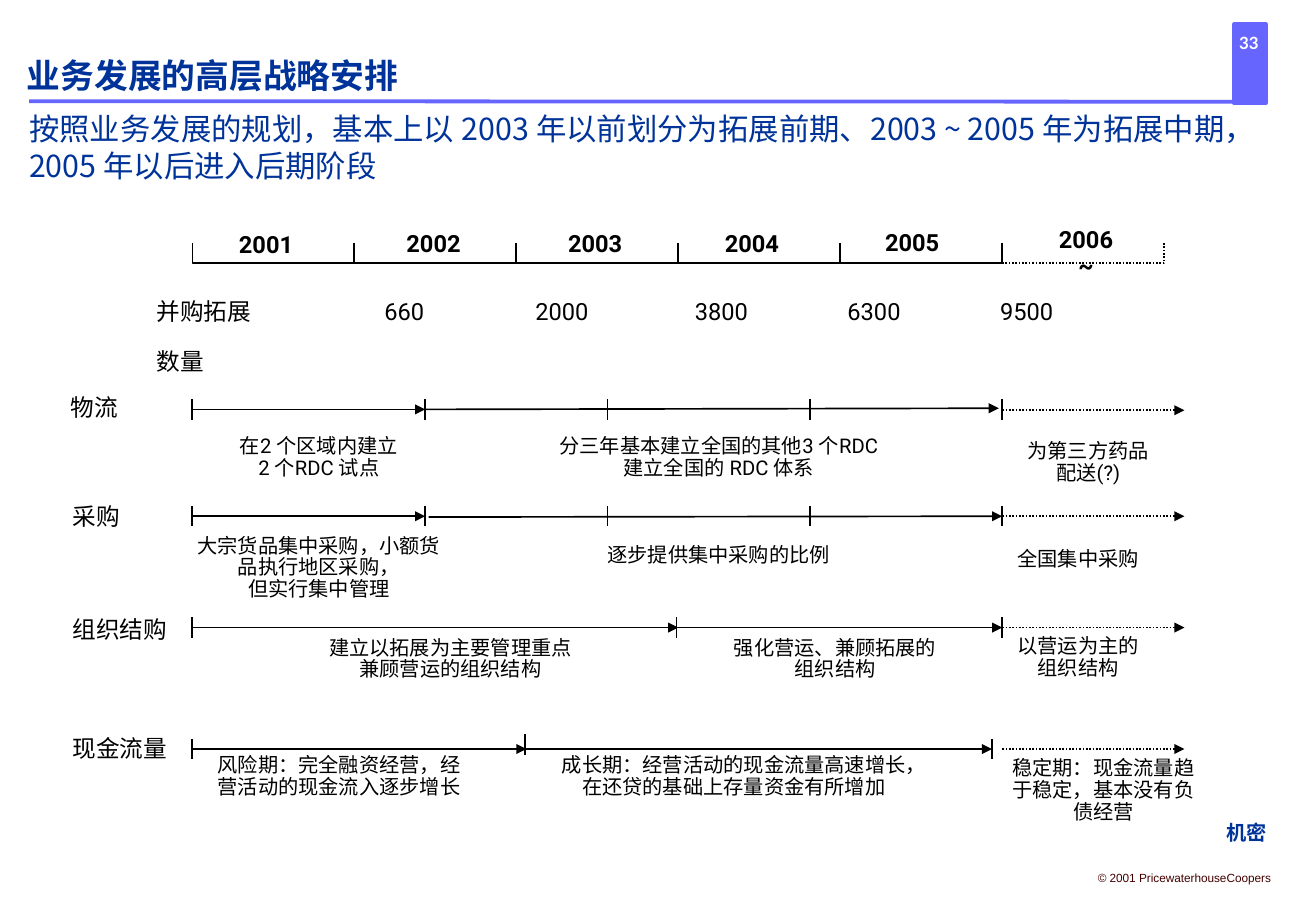
from dataclasses import dataclass

import lxml.etree
import pptx
import pptx.dml.color
import pptx.enum.dml
import pptx.enum.shapes
import pptx.enum.text
import pptx.oxml.ns
import pptx.util

Pt = pptx.util.Pt
qn = pptx.oxml.ns.qn
ALIGN = pptx.enum.text.PP_ALIGN
ANCHOR = pptx.enum.text.MSO_ANCHOR


@dataclass(frozen=True)
class Theme:
    ink: str = "000000"
    navy: str = "003399"
    violet: str = "6666FF"
    maroon: str = "440000"
    white: str = "FFFFFF"
    body: str = "Roboto"
    head: str = "Noto Sans CJK SC"
    plain: str = "Arial"
    number: str = "Lato"
    heading_size: float = 20
    title_size: float = 18
    label_size: float = 14
    caption_size: float = 12
    number_size: float = 10
    credit_size: float = 7


@dataclass(frozen=True)
class Arrow:
    x1: float
    x2: float
    dotted: bool = False
    dy1: float = 0
    dy2: float = 0


@dataclass(frozen=True)
class Tick:
    x: float
    dy: float = 0


@dataclass(frozen=True)
class Caption:
    text: str
    x: float
    y: float
    w: float = 162


@dataclass(frozen=True)
class Track:
    label: str
    label_x: float
    label_y: float
    y: float
    arrows: tuple[Arrow, ...]
    ticks: tuple[Tick, ...]
    captions: tuple[Caption, ...]


T = Theme()
START, YEAR_W, LATER, END = 114, 96, 594, 702
FUTURE = Arrow(LATER, END, dotted=True)

# Year label: text, centre, top
YEARS = (("2001", 157.7, 134.6), ("2002", 257, 133.9), ("2003", 352.8, 133.9),
         ("2004", 445.7, 133.9), ("2005", 540.7, 133.2), ("2006 ~", 643.7, 131.8))

TRACKS = (
    Track("物流", 34.6, 231.1, 242.7,
          (Arrow(START, 252), Arrow(252, 592, dy2=-0.7), Arrow(LATER, END, True, 0.5, 0.5)),
          (Tick(START), Tick(252), Tick(360), Tick(480), Tick(LATER)),
          (Caption("在2 个区域内建立\n2 个RDC 试点", 108, 254.9),
           Caption("分三年基本建立全国的其他3 个RDC\n建立全国的 RDC 体系", 270, 254.9, 312),
           Caption("为第三方药品\n配送(?)", 564, 257.8))),
    Track("采购", 36, 295.9, 306,
          (Arrow(START, 252), Arrow(254, LATER, dy1=0.5), FUTURE),
          (Tick(START), Tick(252), Tick(360), Tick(480), Tick(LATER)),
          (Caption("大宗货品集中采购，小额货品执行地区采购，\n但实行集中管理", 108, 313.9),
           Caption("逐步提供集中采购的比例", 276, 319.7, 300),
           Caption("全国集中采购", 558, 321.8))),
    Track("组织结购", 36, 362.9, 372,
          (Arrow(START, 402), Arrow(402, LATER), FUTURE),
          (Tick(START), Tick(401), Tick(LATER)),
          (Caption("建立以拓展为主要管理重点\n兼顾营运的组织结构", 186, 374.4),
           Caption("强化营运、兼顾拓展的\n组织结构", 414, 374.4),
           Caption("以营运为主的\n组织结构", 558, 373.7))),
    Track("现金流量", 36, 433.4, 444,
          (Arrow(START, 312), Arrow(312, 588), FUTURE),
          (Tick(START), Tick(311, -2.6), Tick(588)),
          (Caption("风险期：完全融资经营，经营活动的现金流入逐步增长", 120, 444.2),
           Caption("成长期：经营活动的现金流量高速增长，在还贷的基础上存量资金有所增加", 324, 444.2, 222),
           Caption("稳定期：现金流量趋于稳定，基本没有负债经营", 588, 445.7, 132))),
)


def rgb(color: str) -> pptx.dml.color.RGBColor:
    return pptx.dml.color.RGBColor.from_string(color)


def write(sp, text: str, *, size: float, color: str = T.ink, font: str = T.body,
          bold: bool = False, align=ALIGN.LEFT, anchor=ANCHOR.TOP, wrap: bool = True,
          inset: bool = True, spacing=0.9, gap: float = 0, tabs: tuple = ()) -> None:
    """Fill a shape with one paragraph per line of text."""
    tf = sp.text_frame
    tf.word_wrap = wrap
    tf.vertical_anchor = anchor
    tf.auto_size = pptx.enum.text.MSO_AUTO_SIZE.NONE
    tf.margin_left = tf.margin_right = Pt(7.2 if inset else 0)
    tf.margin_top = tf.margin_bottom = Pt(3.6 if inset else 0)
    for i, line in enumerate(text.split("\n")):
        p = tf.add_paragraph() if i else tf.paragraphs[0]
        if tabs:
            stops = lxml.etree.SubElement(p._p.get_or_add_pPr(), qn("a:tabLst"))
            for pos in tabs:
                lxml.etree.SubElement(stops, qn("a:tab"), pos=str(Pt(pos)), algn="l")
        p.alignment = align
        p.line_spacing = spacing
        p.space_before = Pt(gap if i else 0)
        r = p.add_run()
        r.text = line
        r.font.size, r.font.bold, r.font.name = Pt(size), bold, font
        r.font.color.rgb = rgb(color)
        lxml.etree.SubElement(r._r.get_or_add_rPr(), qn("a:ea"), typeface=T.body)


def add_text(s, text: str, x: float, y: float, w: float, h: float, **fmt) -> None:
    write(s.shapes.add_textbox(Pt(x), Pt(y), Pt(w), Pt(h)), text, **fmt)


def style_line(sp, color: str = T.ink, width: float = 1, dotted: bool = False) -> None:
    sp.line.color.rgb = rgb(color)
    sp.line.width = Pt(width)
    if dotted:
        sp.line.dash_style = pptx.enum.dml.MSO_LINE.ROUND_DOT


def add_line(s, x1: float, y1: float, x2: float, y2: float, *, arrow: bool = False, **style) -> None:
    sp = s.shapes.add_connector(pptx.enum.shapes.MSO_CONNECTOR.STRAIGHT, Pt(x1), Pt(y1), Pt(x2), Pt(y2))
    style_line(sp, **style)
    if arrow:
        lxml.etree.SubElement(sp.line._get_or_add_ln(), qn("a:tailEnd"), type="triangle")
    lxml.etree.SubElement(sp._element.spPr, qn("a:effectLst"))


def add_year(s, i: int) -> None:
    x, (year, center, top) = START + i * YEAR_W, YEARS[i]
    builder = s.shapes.build_freeform(x, 144, scale=Pt(1))
    builder.add_line_segments([(x, 156), (x + YEAR_W, 156), (x + YEAR_W, 144)], close=False)
    sp = builder.convert_to_shape()
    sp.fill.background()
    sp.shadow.inherit = False
    style_line(sp, dotted=x >= LATER)
    add_text(s, year, center - 28, top, 56, 22, size=T.label_size, bold=True, align=ALIGN.CENTER)


def add_track(s, t: Track) -> None:
    add_text(s, t.label, t.label_x, t.label_y, 79, 24, size=T.label_size)
    for a in t.arrows:
        add_line(s, a.x1, t.y + a.dy1, a.x2, t.y + a.dy2, arrow=True, dotted=a.dotted)
    for k in t.ticks:
        add_line(s, k.x, t.y + k.dy - 6, k.x, t.y + k.dy + 6)
    for c in t.captions:
        add_text(s, c.text, c.x, c.y, c.w, 33, size=T.caption_size, align=ALIGN.CENTER)


def main() -> None:
    prs = pptx.Presentation()
    prs.slide_width, prs.slide_height = Pt(780), Pt(540)
    s = prs.slides.add_slide(prs.slide_layouts[5])

    # Page frame
    sp = s.shapes.add_shape(pptx.enum.shapes.MSO_SHAPE.RECTANGLE, Pt(731.5), Pt(14.4), Pt(18.7), Pt(46.8))
    sp.shadow.inherit = False
    sp.fill.solid()
    sp.fill.fore_color.rgb = rgb(T.violet)
    style_line(sp, T.violet, 2.25)
    add_line(s, 17.3, 60, 740, 60.3, color=T.violet, width=2.25)
    centered = dict(align=ALIGN.CENTER, anchor=ANCHOR.MIDDLE, wrap=False, spacing=1.0)
    add_text(s, "33", 715, 18, 50.4, 14.4, size=T.number_size, font=T.number,
             color=T.white, bold=True, inset=False, **centered)
    add_text(s, "© 2001 PricewaterhouseCoopers", 643.7, 512.6, 116.6, 15.8,
             size=T.credit_size, font=T.plain, color=T.maroon, **centered)
    add_text(s, "机密", 720, 482.4, 38.2, 21.6, size=T.caption_size, font=T.plain,
             color=T.navy, bold=True, **centered)

    # Heading and title
    headline = dict(font=T.head, color=T.navy, anchor=ANCHOR.BOTTOM, inset=False)
    add_text(s, "业务发展的高层战略安排", 15.8, 13.5, 699, 43.2, size=T.heading_size,
             bold=True, spacing=1.0, **headline)
    title = s.shapes.title
    title.left, title.top, title.width, title.height = Pt(17.3), Pt(60.5), Pt(732.2), Pt(48.2)
    write(title, "按照业务发展的规划，基本上以 2003 年以前划分为拓展前期、2003 ~ 2005 年为拓展中期，"
          "2005 年以后进入后期阶段", size=T.title_size, spacing=Pt(22), **headline)

    # Timeline and expansion figures
    for i in range(len(YEARS)):
        add_year(s, i)
    add_text(s, "并购拓展\t660\t2000\t3800\t6300\t9500\n数量", 85.7, 174.2, 672, 53,
             size=T.label_size, gap=14.5, tabs=(135, 224.5, 319, 409.5, 500))

    # Workstreams
    for track in TRACKS:
        add_track(s, track)

    prs.save("out.pptx")


if __name__ == "__main__":
    main()
